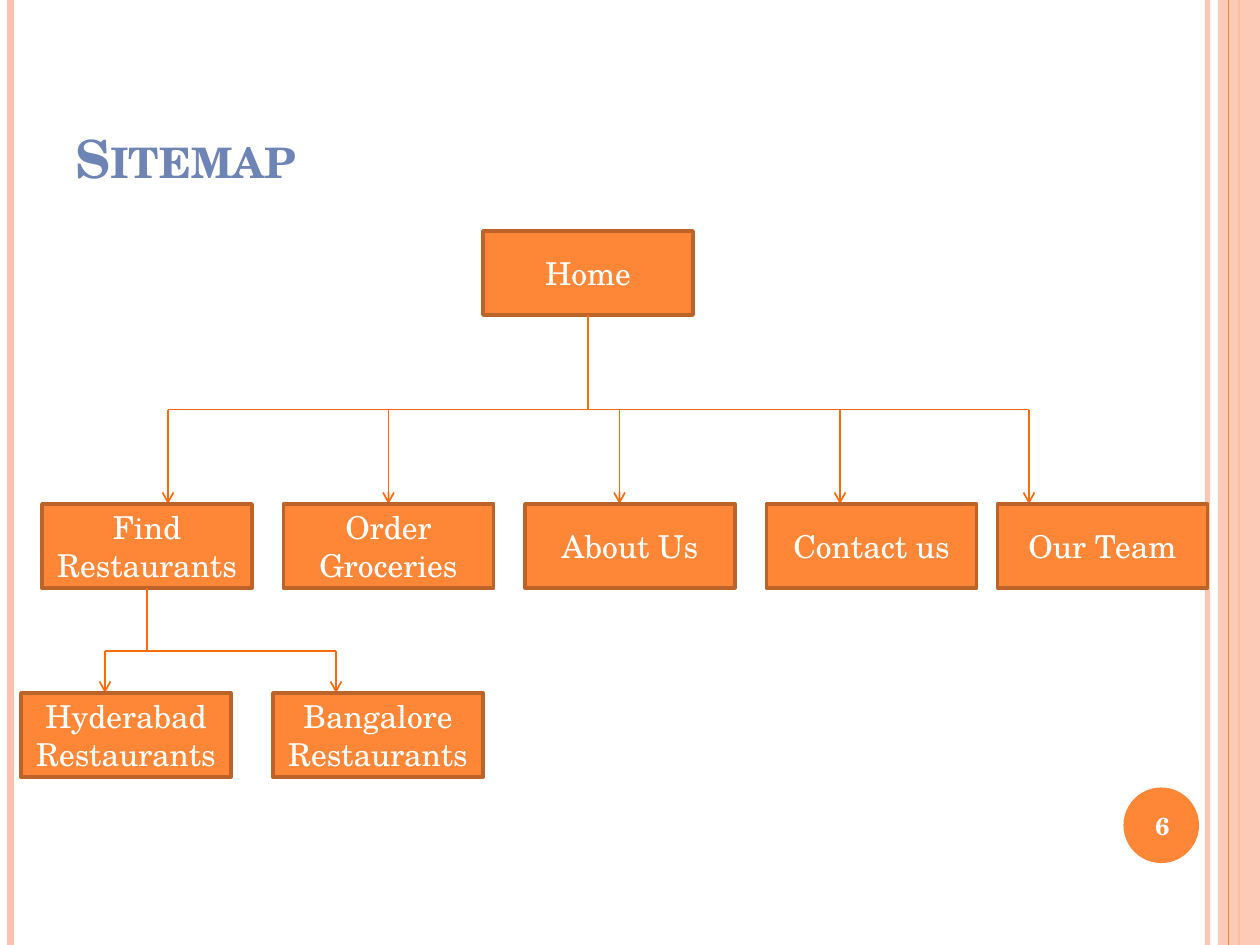
import pptx
import pptx.dml.color
import pptx.enum.shapes
import pptx.enum.text
import pptx.oxml.ns
import pptx.util
from lxml import etree

PX = 7620  # 120 px to the inch
FONT = "TeX Gyre Schola"
ORANGE, BROWN, ARROW = "FE8637", "BC6329", "FF6B0A"
PEACH, BLUE, WHITE = "FEC3AE", "6E84B4", "FFFFFF"
SHAPE = pptx.enum.shapes.MSO_SHAPE
ALIGN = pptx.enum.text.PP_ALIGN
ANCHOR = pptx.enum.text.MSO_ANCHOR
NODE_WIDTH, NODE_HEIGHT = 200, 80


def px(*lengths):
    return [pptx.util.Emu(length * PX) for length in lengths]


def paint(color_format, color, opacity=100):
    color_format.rgb = pptx.dml.color.RGBColor.from_string(color)
    if opacity < 100:
        for node in color_format._xFill.iter(pptx.oxml.ns.qn("a:srgbClr")):
            etree.SubElement(node, pptx.oxml.ns.qn("a:alpha"), val=str(opacity * 1000))


def add_line(page, start, end, color=ARROW, width=1, opacity=100, arrow=False):
    line = page.shapes.add_connector(
        pptx.enum.shapes.MSO_CONNECTOR.STRAIGHT, *px(*start, *end))
    line.line.width = pptx.util.Pt(width)
    line.line.fill.solid()
    paint(line.line.fill.fore_color, color)
    outline = line.line._get_or_add_ln()
    if opacity < 100:
        for node in outline.iter(pptx.oxml.ns.qn("a:srgbClr")):
            etree.SubElement(node, pptx.oxml.ns.qn("a:alpha"), val=str(opacity * 1000))
    if arrow:
        etree.SubElement(outline, pptx.oxml.ns.qn("a:tailEnd"), type="arrow")
    etree.SubElement(line._element.spPr, pptx.oxml.ns.qn("a:effectLst"))


def add_shape(page, kind, box, fill, border=None, opacity=100):
    shape = page.shapes.add_shape(kind, *px(*box))
    shape.shadow.inherit = False
    shape.fill.solid()
    paint(shape.fill.fore_color, fill)
    if opacity < 100:
        for node in shape._element.spPr.iter(pptx.oxml.ns.qn("a:srgbClr")):
            etree.SubElement(node, pptx.oxml.ns.qn("a:alpha"), val=str(opacity * 1000))
    if border:
        shape.line.width = pptx.util.Pt(2)
        paint(shape.line.color, border)
    else:
        shape.line.fill.background()
    return shape


def set_text(shape, text, size, color=WHITE, bold=False, align=ALIGN.CENTER,
             anchor=ANCHOR.MIDDLE):
    frame = shape.text_frame
    frame.text = text
    frame.word_wrap = True
    frame.vertical_anchor = anchor
    for para in frame.paragraphs:
        para.alignment = align
        for span in para.runs:
            span.font.name = FONT
            span.font.size = pptx.util.Pt(size)
            span.font.bold = bold
            paint(span.font.color, color)


def add_frame(page, box):
    """Vertical stripes along both edges of the page."""
    left, top, width, height = box
    right, bottom = left + width, top + height

    def stripe(x, color, weight, opacity=100):
        add_line(page, (x, top), (x, bottom), color, weight, opacity)

    stripe(right - 50, PEACH, 3, 93)
    stripe(left + 10, PEACH, 4.5)
    stripe(right - 20, ORANGE, 1.5)
    add_shape(page, SHAPE.RECTANGLE, (right - 40, top, 40, height), PEACH, opacity=87)
    stripe(right - 30, ORANGE, 0.75)


def add_title(page, box, text):
    title = page.shapes.add_textbox(*px(*box))
    set_text(title, text, 30, BLUE, True, ALIGN.LEFT, ANCHOR.BOTTOM)
    for span in title.text_frame.paragraphs[0].runs:
        span._r.get_or_add_rPr().set("cap", "small")


def add_page_number(page, box, number):
    left, top, width, height = box
    add_shape(page, SHAPE.OVAL, box, ORANGE)
    label = page.shapes.add_textbox(*px(left - 3, top + 2, width + 8, height - 4))
    set_text(label, number, 14, bold=True)


def add_node(page, left, top, text):
    node = add_shape(page, SHAPE.RECTANGLE, (left, top, NODE_WIDTH, NODE_HEIGHT),
                     ORANGE, BROWN)
    set_text(node, text, 18)


def add_branch(page, parent, bus_y, child_y, children):
    """Joins a parent node to a row of (left, arrow x, text) children."""
    left, top = parent
    stem_x = left + NODE_WIDTH // 2
    arrows = [arrow_x for _, arrow_x, _ in children]
    add_line(page, (stem_x, top + NODE_HEIGHT), (stem_x, bus_y))
    add_line(page, (min(arrows), bus_y), (max(arrows), bus_y))
    for child_left, arrow_x, text in children:
        add_line(page, (arrow_x, bus_y), (arrow_x, child_y), arrow=True)
        add_node(page, child_left, child_y, text)


def add_sitemap(page, box):
    left, top = box[:2]
    home = (left + 440, top)
    sections = [(20, 140, "Find Restaurants"), (250, 350, "Order Groceries"),
                (480, 570, "About Us"), (710, 780, "Contact us"),
                (930, 960, "Our Team")]
    cities = [(0, 80, "Hyderabad\nRestaurants"), (240, 300, "Bangalore\nRestaurants")]

    def placed(children):
        return [(left + x, left + arrow_x, text) for x, arrow_x, text in children]

    add_node(page, *home, "Home")
    add_branch(page, home, top + 170, top + 260, placed(sections))
    find = (left + sections[0][0], top + 260)
    add_branch(page, find, top + 400, top + 440, placed(cities))


def main():
    deck = pptx.Presentation()
    deck.slide_width, deck.slide_height = px(1200, 900)
    page = deck.slides.add_slide(deck.slide_layouts[6])
    add_frame(page, (0, 0, 1200, 900))
    add_title(page, (60, 36, 980, 150), "Sitemap")
    add_sitemap(page, (20, 220, 1130, 520))
    add_page_number(page, (1070, 750, 72, 72), "6")
    deck.save("out.pptx")


if __name__ == "__main__":
    main()
